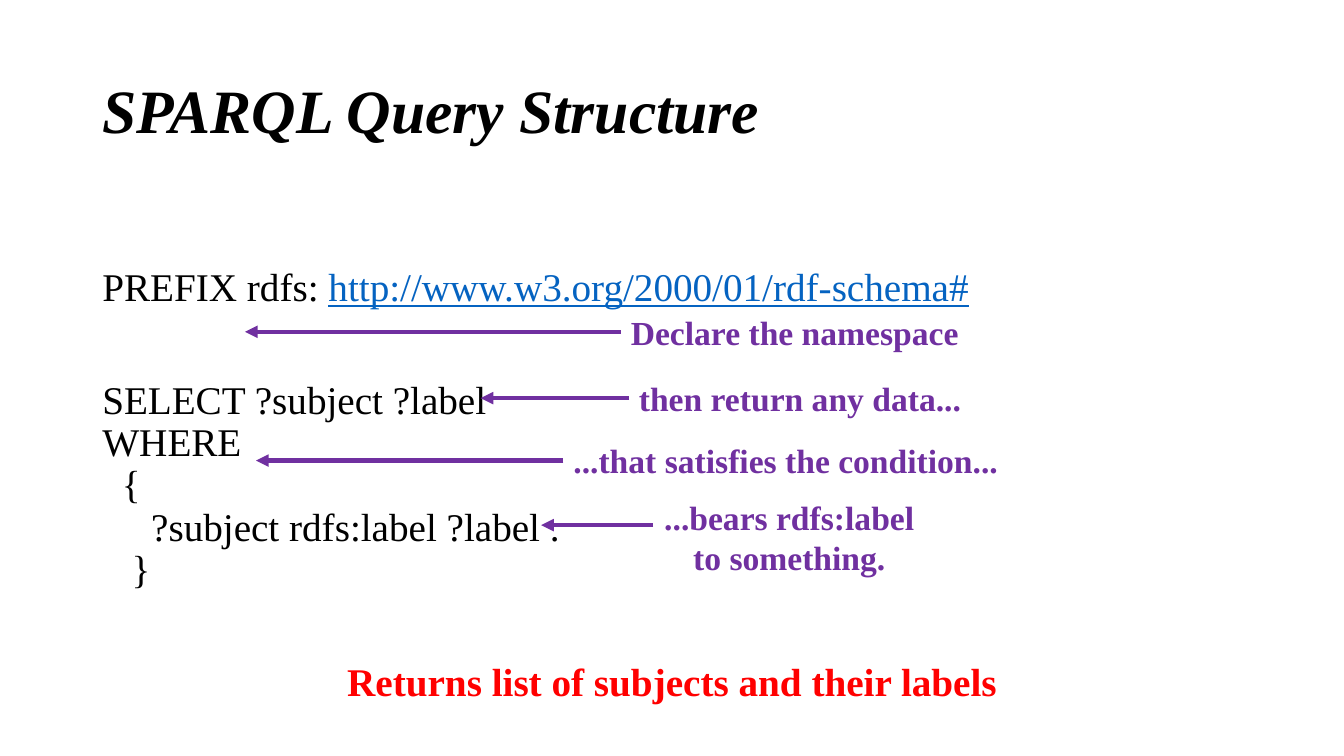
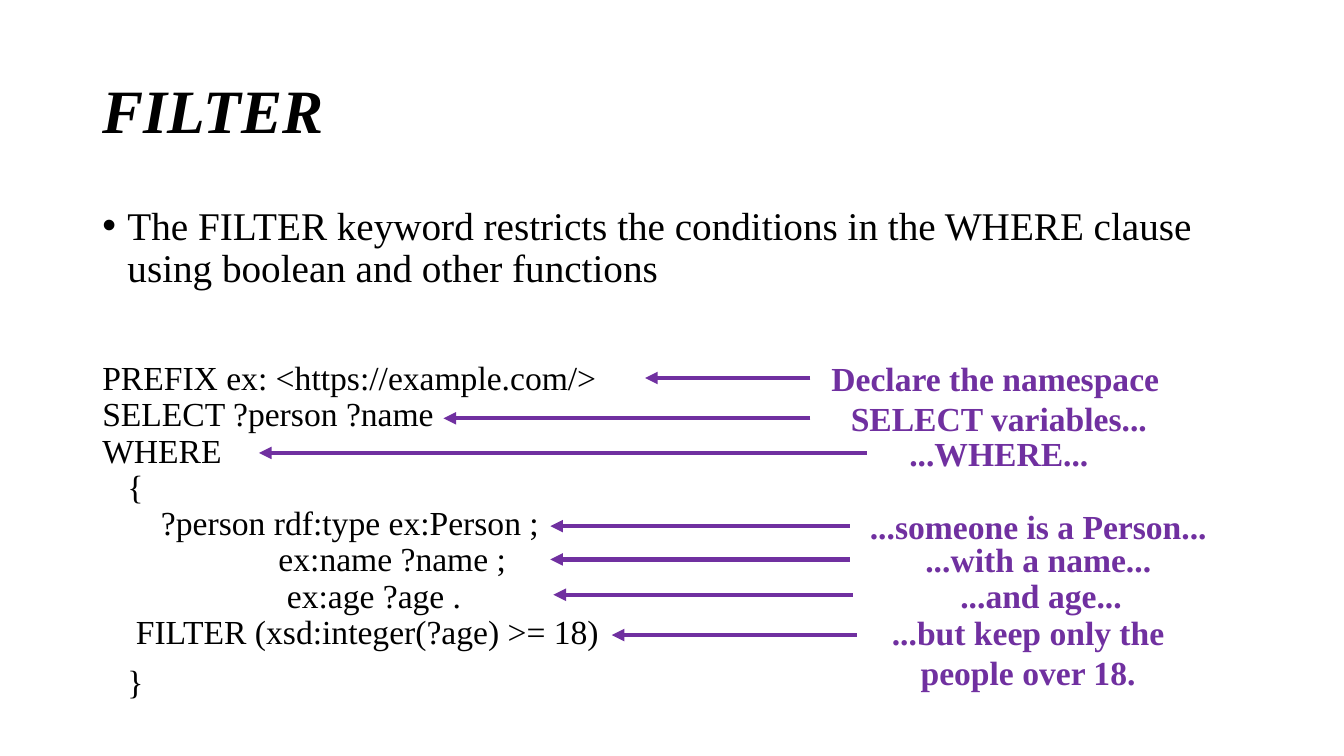
from dataclasses import dataclass

import lxml.etree
import pptx
import pptx.dml.color
import pptx.enum.shapes
import pptx.enum.text
import pptx.oxml.ns
import pptx.util

Pt = pptx.util.Pt
qn = pptx.oxml.ns.qn
Align = pptx.enum.text.PP_ALIGN

FONT = "Times New Roman"
BLACK, PURPLE, BLUE, RED = "000000", "7030A0", "0563C1", "FF0000"
CONTENT_LEFT, CONTENT_WIDTH = 66, 828
BODY_TOP, BODY_HEIGHT = 144, 396
BODY_SIZE, NOTE_SIZE = 28, 24
LINE_SPACING = 0.9
SMALL_GAP, LARGE_GAP = 10, 50.2
NOTE_LINE, INSET = 28.8, 3.6


@dataclass
class Note:
    """A label and the arrow from it; without arrow_start the arrow is joined to the label."""
    text: str
    left: float
    top: float
    width: float
    arrow_tip: float
    arrow_start: float | None = None
    arrow_drop: float = 18
    alignment: Align = Align.CENTER


STRUCTURE_QUERY = """SELECT ?subject ?label
WHERE
  {
     ?subject rdfs:label ?label .
   }"""

FILTER_QUERY = """PREFIX ex: <https://example.com/>
SELECT ?person ?name
WHERE
   {
       ?person rdf:type ex:Person ;
                     ex:name ?name ;
                      ex:age ?age .
    FILTER (xsd:integer(?age) >= 18)"""

STRUCTURE_NOTES = [
    Note("Declare the namespace", 443.5, 219, 253.4, 175, alignment=Align.LEFT),
    Note("then return any data...", 449.3, 266.4, 247, 343.4, alignment=Align.LEFT),
    Note("...that satisfies the condition...", 402.5, 311, 322.6, 182.9, alignment=Align.LEFT),
    Note("...bears rdfs:label\nto something.", 466.6, 351.4, 194.4, 386.6, 466.6, 23.7),
]

FILTER_NOTES = [
    Note("Declare the namespace", 586.8, 252, 253.4, 460.8, 578.9, alignment=Align.LEFT),
    Note("SELECT variables...", 586.8, 280.8, 253.4, 316.8, 578.9),
    Note("...WHERE...", 586.8, 305.5, 253.4, 185, 619.2),
    Note("...someone is a Person...", 589, 357.8, 305.3, 393.1, 607),
    Note("...with a name...", 589, 381.6, 305.3, 393.1, 607),
    Note("...and age...", 591, 406.8, 305.3, 395.3, 609),
    Note("...but keep only the\npeople over 18.", 619.2, 433.4, 230.4, 437, 612, 20.2),
]


def rgb(color: str) -> pptx.dml.color.RGBColor:
    return pptx.dml.color.RGBColor.from_string(color)


def style_font(paragraph, size: float, color: str = BLACK, bold: bool = False,
               italic: bool = False) -> None:
    font = paragraph.font
    font.name, font.size, font.bold, font.italic = FONT, Pt(size), bold, italic
    font.color.rgb = rgb(color)


def add_text_box(slide, left: float, top: float, width: float, height: float):
    shape = slide.shapes.add_textbox(Pt(left), Pt(top), Pt(width), Pt(height))
    shape.text_frame.word_wrap = True
    return shape


def add_title(slide, text: str) -> None:
    frame = add_text_box(slide, CONTENT_LEFT, 28.8, CONTENT_WIDTH, 104.4).text_frame
    frame.vertical_anchor = pptx.enum.text.MSO_ANCHOR.MIDDLE
    paragraph = frame.paragraphs[0]
    paragraph.text = text
    paragraph.line_spacing = LINE_SPACING
    style_font(paragraph, 44, bold=True, italic=True)


def add_body(slide):
    return add_text_box(slide, CONTENT_LEFT, BODY_TOP, CONTENT_WIDTH, BODY_HEIGHT).text_frame


def write_paragraph(paragraph, text: str, size: float = BODY_SIZE, color: str = BLACK,
                    bold: bool = False, space_before: float = 0) -> None:
    """Fill a body paragraph; line ends in the text become line breaks."""
    paragraph.text = text.replace("\n", "\v")
    paragraph.line_spacing = LINE_SPACING
    paragraph.space_before = Pt(space_before)
    style_font(paragraph, size, color, bold)


def add_bullet(paragraph, indent: float) -> None:
    properties = paragraph._p.get_or_add_pPr()
    properties.set("marL", str(Pt(indent)))
    properties.set("indent", str(-Pt(indent)))
    lxml.etree.SubElement(properties, qn("a:buFont")).set("typeface", "Arial")
    lxml.etree.SubElement(properties, qn("a:buChar")).set("char", "•")


def add_note(slide, note: Note) -> None:
    lines = note.text.split("\n")
    height = len(lines) * NOTE_LINE + 2 * INSET
    label = add_text_box(slide, note.left, note.top, note.width, height)
    frame = label.text_frame
    frame.word_wrap = False
    frame.auto_size = pptx.enum.text.MSO_AUTO_SIZE.SHAPE_TO_FIT_TEXT
    frame.text = note.text
    for paragraph in frame.paragraphs:
        paragraph.alignment = note.alignment
        style_font(paragraph, NOTE_SIZE, PURPLE, bold=True)

    start = note.left if note.arrow_start is None else note.arrow_start
    y = Pt(note.top + note.arrow_drop)
    arrow = slide.shapes.add_connector(
        pptx.enum.shapes.MSO_CONNECTOR.STRAIGHT, Pt(start), y, Pt(note.arrow_tip), y)
    if note.arrow_start is None:
        arrow.begin_connect(label, 1)
    arrow.line.color.rgb = rgb(PURPLE)
    arrow.line.width = Pt(3)
    line = arrow.line._get_or_add_ln()
    lxml.etree.SubElement(line, qn("a:tailEnd")).set("type", "triangle")
    lxml.etree.SubElement(arrow._element.spPr, qn("a:effectLst"))


def build_structure_slide(slide) -> None:
    add_title(slide, "SPARQL Query Structure")
    frame = add_body(slide)
    frame.margin_top = Pt(47.2)
    prefix = frame.paragraphs[0]
    write_paragraph(prefix, "PREFIX rdfs: ")
    address = prefix.add_run()
    address.text = "http://www.w3.org/2000/01/rdf-schema#"
    address.font.underline = True
    address.font.color.rgb = rgb(BLUE)
    write_paragraph(frame.add_paragraph(), STRUCTURE_QUERY, space_before=LARGE_GAP)
    result = frame.add_paragraph()
    result.alignment = Align.CENTER
    write_paragraph(result, "Returns list of subjects and their labels",
                    color=RED, bold=True, space_before=LARGE_GAP)
    for note in STRUCTURE_NOTES:
        add_note(slide, note)


def build_filter_slide(slide) -> None:
    add_title(slide, "FILTER")
    frame = add_body(slide)
    introduction = frame.paragraphs[0]
    # Spacing elements go in ahead of the bullet, as the schema orders them.
    introduction.line_spacing = LINE_SPACING
    introduction.space_before = Pt(0)
    add_bullet(introduction, 18)
    write_paragraph(introduction, "The FILTER keyword restricts the conditions in the "
                    "WHERE clause using boolean and other functions")
    write_paragraph(frame.add_paragraph(), FILTER_QUERY, NOTE_SIZE, space_before=LARGE_GAP)
    write_paragraph(frame.add_paragraph(), "   }", NOTE_SIZE, space_before=SMALL_GAP)
    for note in FILTER_NOTES:
        add_note(slide, note)


def main() -> None:
    presentation = pptx.Presentation()
    presentation.slide_width, presentation.slide_height = Pt(960), Pt(540)
    blank = presentation.slide_layouts[6]
    for build in (build_structure_slide, build_filter_slide):
        build(presentation.slides.add_slide(blank))
    presentation.save("out.pptx")


if __name__ == "__main__":
    main()
